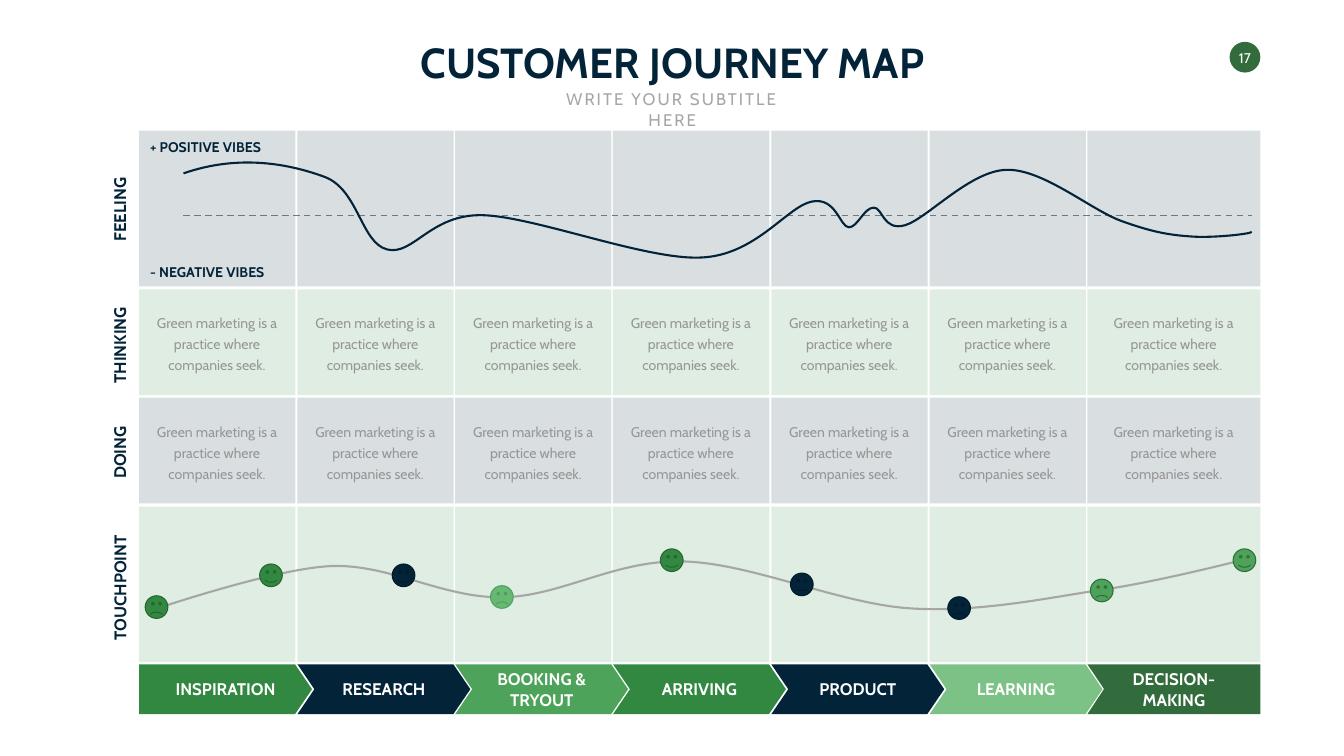
import pptx
import pptx.util
import pptx.dml.color
import pptx.enum.dml
import pptx.enum.shapes
import pptx.enum.text
import pptx.oxml.ns
from lxml import etree

RGBColor = pptx.dml.color.RGBColor
NAVY = RGBColor(0x02, 0x23, 0x38)
INK = RGBColor(0x02, 0x1A, 0x2A)
FOREST = RGBColor(0x33, 0x6C, 0x3C)
PINE = RGBColor(0x25, 0x66, 0x30)
GREEN = RGBColor(0x32, 0x88, 0x40)
LEAF = RGBColor(0x4C, 0xA3, 0x59)
MINT = RGBColor(0x66, 0xB8, 0x73)
PALE = RGBColor(0x7C, 0xC2, 0x87)
WHITE = RGBColor(0xFF, 0xFF, 0xFF)
SILVER = RGBColor(0xA6, 0xA6, 0xA6)
GREY = RGBColor(0x96, 0x96, 0x96)
SLATE = RGBColor(0x6B, 0x7A, 0x84)

KIND = pptx.enum.shapes.MSO_SHAPE
ALIGN = pptx.enum.text.PP_ALIGN
ANCHOR = pptx.enum.text.MSO_ANCHOR
FONT = "Cabin"
SCALE = 9144
COUNT = 7
LAST = 343
NOTE = "Green marketing is a practice where companies seek."

STAGES = [
    (["INSPIRATION"], GREEN), (["RESEARCH"], NAVY),
    (["BOOKING &", "TRYOUT"], LEAF), (["ARRIVING"], GREEN),
    (["PRODUCT"], NAVY), (["LEARNING"], PALE),
    (["DECISION-", "MAKING"], FOREST),
]
MOOD = [
    (88, 85), (200, 46), (300, 67), (368, 92), (435, 117), (440, 223), (492, 236),
    (544, 249), (578, 165), (682, 168), (785, 171), (1006, 257), (1114, 252),
    (1223, 248), (1285, 151), (1334, 141), (1383, 131), (1390, 192), (1408, 192),
    (1425, 192), (1438, 153), (1457, 153), (1475, 152), (1475, 200), (1519, 188),
    (1563, 175), (1649, 79), (1721, 78), (1792, 76), (1886, 156), (1947, 179),
    (2008, 201), (2041, 207), (2084, 210), (2127, 214), (2207, 205), (2207, 201),
]
TRAIL = [
    (35, 202), (36, 203), (270, 122), (384, 118), (499, 115), (604, 182), (720, 180),
    (836, 179), (945, 105), (1079, 109), (1214, 112), (1389, 193), (1529, 202),
    (1669, 211), (1806, 180), (1918, 164), (2031, 147), (2206, 102), (2203, 102),
]
SMILE = 0.0465
FACES = [
    (12, 177, -SMILE, GREEN, PINE), (239, 114, SMILE, GREEN, PINE),
    (502, 114, SMILE, NAVY, INK), (697, 157, -SMILE, MINT, LEAF),
    (1034, 84, SMILE, GREEN, PINE), (1292, 132, -0.002, NAVY, INK),
    (1604, 179, -SMILE, NAVY, INK), (1887, 144, -SMILE, LEAF, FOREST),
    (2170, 84, SMILE, LEAF, FOREST),
]


def px(*sizes):
    """Turn px lengths into EMU."""
    return [pptx.util.Emu(size * SCALE) for size in sizes]


def write(shape, lines, size, color, bold=False, align=ALIGN.CENTER,
          anchor=ANCHOR.MIDDLE, wrap=False, pitch=None, track=None):
    """Fill a shape with lines of text."""
    frame = shape.text_frame
    frame.word_wrap = wrap
    frame.vertical_anchor = anchor
    for i, line in enumerate(lines):
        para = frame.add_paragraph() if i else frame.paragraphs[0]
        para.alignment = align
        if pitch:
            para.line_spacing = pptx.util.Pt(pitch)
        run = para.add_run()
        run.text = line
        run.font.name = FONT
        run.font.size = pptx.util.Pt(size)
        run.font.bold = bold
        run.font.color.rgb = color
        if track:
            run._r.get_or_add_rPr().set("spc", str(track * 100))


def label(slide, box, lines, size, color, **style):
    """Add a text box."""
    shape = slide.shapes.add_textbox(*px(*box))
    write(shape, lines, size, color, **style)
    return shape


def paint(shape, fill, edge=None, alpha=None):
    """Set the fill, outline and see-through share of a shape."""
    shape.shadow.inherit = False
    shape.fill.solid()
    shape.fill.fore_color.rgb = fill
    if alpha:
        tint = shape.element.spPr.find(".//" + pptx.oxml.ns.qn("a:srgbClr"))
        etree.SubElement(tint, pptx.oxml.ns.qn("a:alpha"), val=str(alpha * 1000))
    if edge is None:
        shape.line.fill.background()
    else:
        shape.line.color.rgb = edge
        shape.line.width = pptx.util.Pt(1.5)


def curve(slide, box, points, color):
    """Draw an open curve through Bezier points given from the box corner."""
    nodes = [(box[0] + x, box[1] + y) for x, y in points]
    pen = slide.shapes.build_freeform(*nodes[0], scale=SCALE)
    pen.add_line_segments(nodes[1:], close=False)
    shape = pen.convert_to_shape()
    shape.shadow.inherit = False
    shape.fill.background()
    shape.line.color.rgb = color
    shape.line.width = pptx.util.Pt(3)
    steps = list(shape.element.iter(pptx.oxml.ns.qn("a:lnTo")))
    for i in range(0, len(steps), 3):
        track = steps[i].getparent()
        bend = etree.SubElement(track, pptx.oxml.ns.qn("a:cubicBezTo"))
        for step in steps[i:i + 3]:
            bend.append(step[0])
            track.remove(step)


def split(box):
    """Give the left edge and width of each column."""
    pitch = (box[2] - LAST) / (COUNT - 1)
    return [(round(box[0] + i * pitch), 310 if i < COUNT - 1 else LAST)
            for i in range(COUNT)]


def band(slide, box, name, width, color):
    """Draw the cells of one row and its upright name."""
    x, y, w, h = box
    for left, wide in split(box):
        cell = slide.shapes.add_shape(KIND.RECTANGLE, *px(left, y, wide, h))
        paint(cell, color, alpha=15)
    spot = (x - 39 - width // 2, y + h // 2 - 25, width, 50)
    side = label(slide, spot, [name], 24, NAVY, bold=True,
                 align=ALIGN.LEFT, anchor=ANCHOR.TOP, wrap=True)
    side.rotation = 270


def notes(slide, box):
    """Write the note in each cell of a row."""
    for left, wide in split(box):
        label(slide, (left + 20, box[1] + 39, wide - 41, 132), [NOTE], 20, GREY,
              wrap=True, pitch=30)


def feeling(slide, box):
    """Draw the mood curve, its midline and its end labels."""
    x, y, w, h = box
    line = slide.shapes.add_connector(pptx.enum.shapes.MSO_CONNECTOR.STRAIGHT,
                                      *px(x + 88, y + 169, x + 2208, y + 169))
    line.line.color.rgb = SLATE
    line.line.width = pptx.util.Pt(2.25)
    line.line.dash_style = pptx.enum.dml.MSO_LINE.DASH
    etree.SubElement(line.element.spPr, pptx.oxml.ns.qn("a:effectLst"))
    curve(slide, box, MOOD, NAVY)
    for top, text in ((10, "+ POSITIVE VIBES"), (258, "- NEGATIVE VIBES")):
        label(slide, (x + 12, y + top, 267, 44), [text], 20, NAVY, bold=True,
              align=ALIGN.LEFT, anchor=ANCHOR.TOP)


def touch(slide, box):
    """Draw the touchpoint curve and its faces."""
    curve(slide, box, TRAIL, SILVER)
    for x, y, bend, fill, edge in FACES:
        face = slide.shapes.add_shape(KIND.SMILEY_FACE,
                                      *px(box[0] + x, box[1] + y, 45, 45))
        face.adjustments[0] = bend
        paint(face, fill, edge)


def stages(slide, box):
    """Draw the chain of stage arrows with their names."""
    x, y, w, h = box
    for i, ((left, wide), (lines, color)) in enumerate(zip(split(box), STAGES)):
        if i < COUNT - 1:
            kind = KIND.CHEVRON if i else KIND.PENTAGON
            arrow = slide.shapes.add_shape(kind, *px(left, y, LAST, h))
            arrow.adjustments[0] = 0.34
        else:
            pen = slide.shapes.build_freeform(left, y, scale=SCALE)
            pen.add_line_segments([(left + LAST, y), (left + LAST, y + h),
                                   (left, y + h), (left + 33, y + h // 2)])
            arrow = pen.convert_to_shape()
        paint(arrow, color)
        tall = 50 if len(lines) == 1 else 91
        label(slide, (left + 47, y + (h - tall) // 2, 249, tall), lines, 24, WHITE,
              bold=True)


def header(slide, box):
    """Place the title, subtitle and page badge."""
    x, y, w, h = box
    title = slide.shapes.title
    title.left, title.top, title.width, title.height = px(x + 778, y + 67, 1111, 111)
    write(title, ["CUSTOMER JOURNEY MAP"], 60, NAVY, bold=True, anchor=ANCHOR.TOP)
    label(slide, (x + 1062, y + 172, 543, 50), ["WRITE YOUR SUBTITLE HERE"], 24,
          SILVER, anchor=ANCHOR.TOP, wrap=True, track=3)
    badge = slide.shapes.add_shape(KIND.OVAL, *px(x + 2439, y + 83, 61, 61))
    paint(badge, FOREST)
    page = label(slide, (x + 2449, y + 97, 41, 34), ["17"], 20, WHITE)
    frame = page.text_frame
    frame.margin_left = frame.margin_right = 0
    frame.margin_top = frame.margin_bottom = 0


def main():
    """Build the journey map."""
    deck = pptx.Presentation()
    deck.slide_width, deck.slide_height = px(2666, 1500)
    slide = deck.slides.add_slide(deck.slide_layouts[5])
    header(slide, (0, 0, 2666, 259))
    rows = [("FEELING", 152, 259, 309, NAVY), ("THINKING", 184, 574, 210, GREEN),
            ("DOING", 132, 789, 210, NAVY), ("TOUCHPOINT", 243, 1005, 309, GREEN)]
    parts = [feeling, notes, notes, touch]
    for (name, width, top, tall, color), part in zip(rows, parts):
        box = (276, top, 2224, tall)
        band(slide, box, name, width, color)
        part(slide, box)
    stages(slide, (276, 1318, 2224, 99))
    deck.save("out.pptx")


if __name__ == "__main__":
    main()
